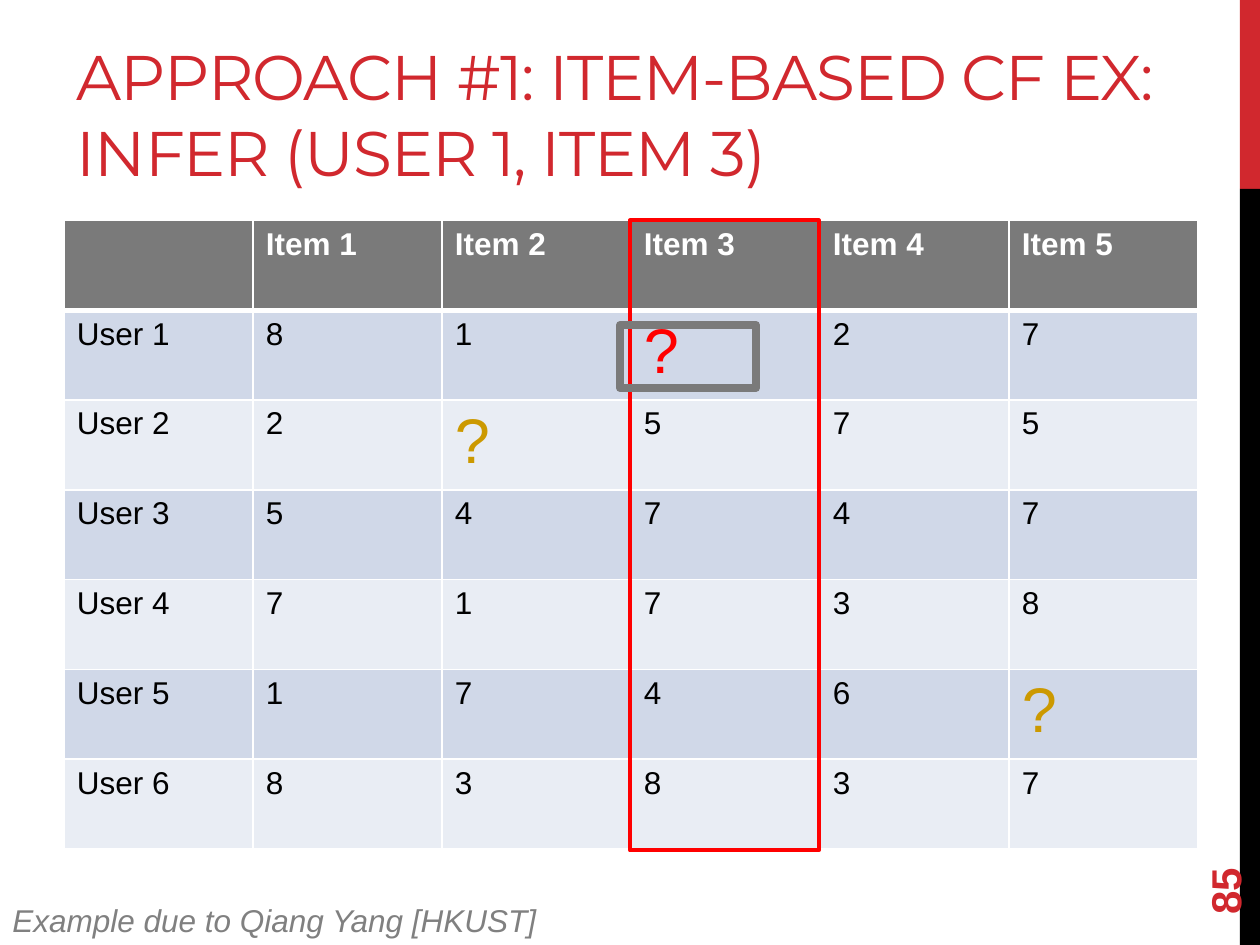
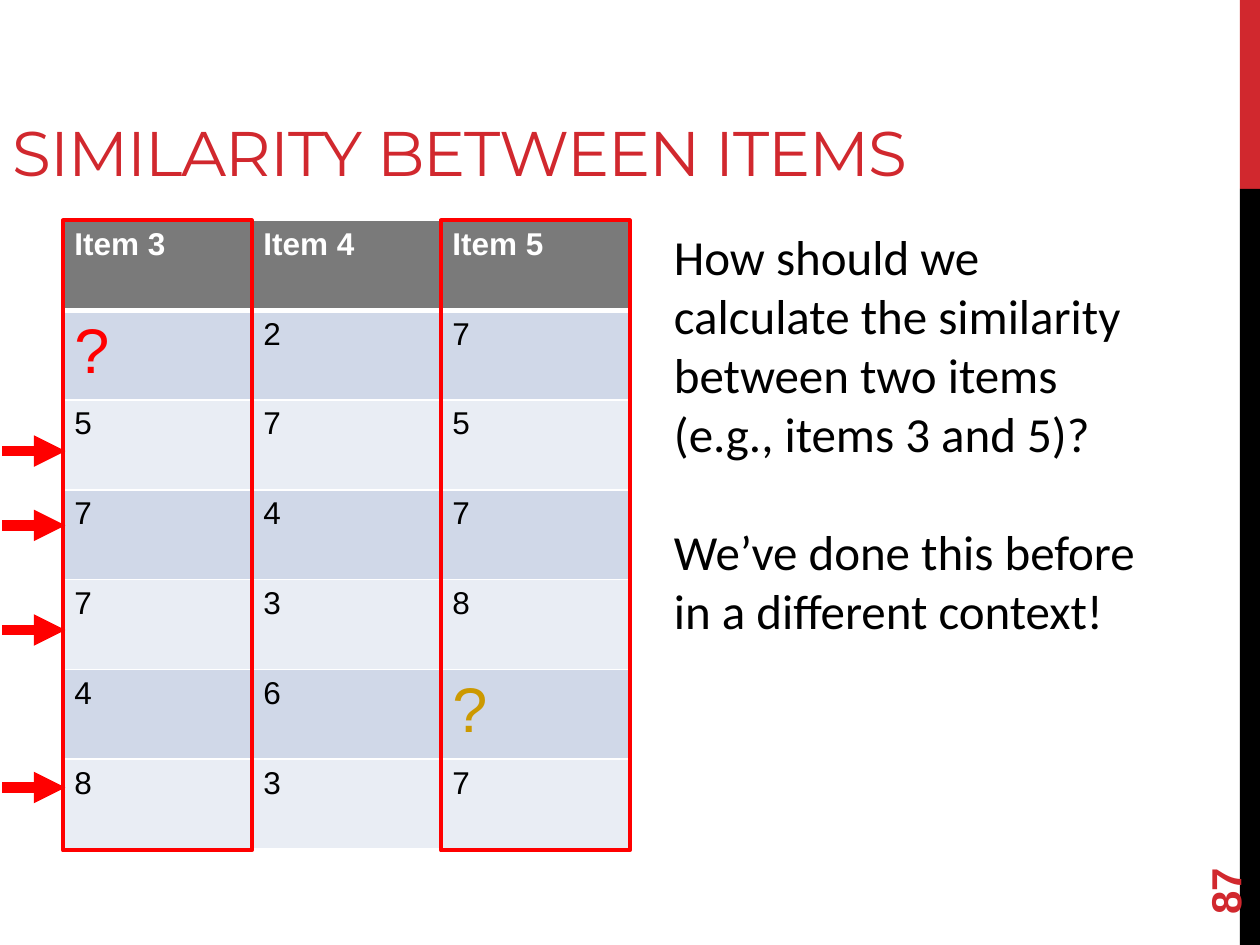
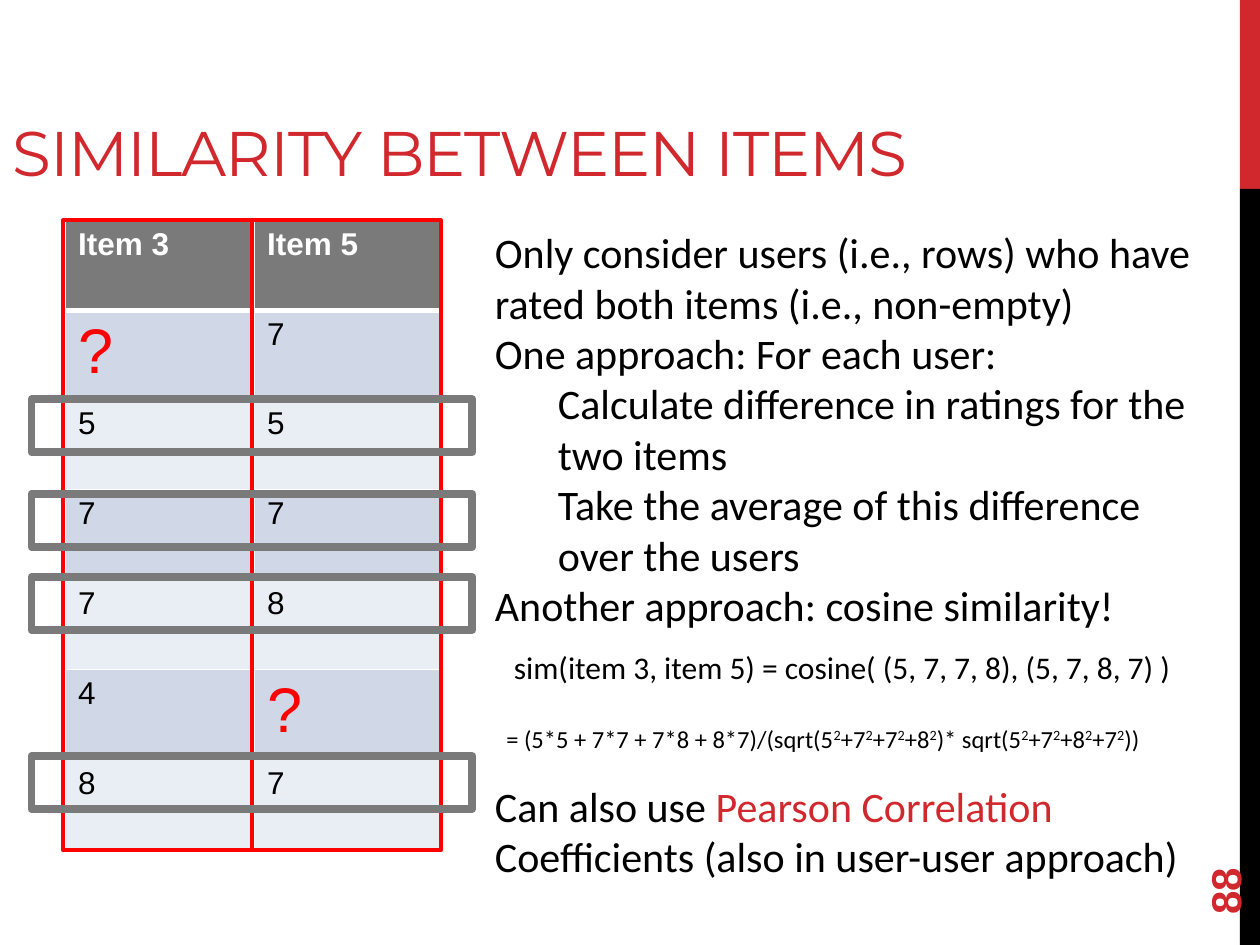
from lxml import etree
from pptx import Presentation
from pptx.dml.color import RGBColor
from pptx.enum.shapes import MSO_CONNECTOR, MSO_SHAPE
from pptx.enum.text import MSO_ANCHOR, MSO_AUTO_SIZE, PP_ALIGN
from pptx.oxml.ns import qn
from pptx.util import Inches, Pt

# Colours
CRIMSON = RGBColor(0xD1, 0x28, 0x2E)
RED = RGBColor(0xFF, 0x00, 0x00)
GOLD = RGBColor(0xCC, 0x99, 0x00)
GRAY = RGBColor(0x7A, 0x7A, 0x7A)
CREDIT_GRAY = RGBColor(0x80, 0x80, 0x80)
BLACK = RGBColor(0x00, 0x00, 0x00)
WHITE = RGBColor(0xFF, 0xFF, 0xFF)
ROW_FILLS = (RGBColor(0xE9, 0xED, 0xF4), RGBColor(0xD0, 0xD8, 0xE8))

# Ratings of users 1 to 6 for each item
RATINGS = {
    "Item 1": "825718",
    "Item 2": "1?4173",
    "Item 3": "?57748",
    "Item 4": "274363",
    "Item 5": "7578?7",
}
TABLE_TOP = 1.75
COLUMN_WIDTH = 1.5
COLUMN_HEIGHT = 5
TABLE_HEIGHT = 4.99


def write(p, text, font="Calibri", size=18, color=BLACK, bold=False,
          italic=False, baseline=None, spacing=None):
    """Add one formatted run to a paragraph."""
    r = p.add_run()
    r.text = text
    r.font.name = font
    r.font.size = Pt(size)
    r.font.color.rgb = color
    r.font.bold = bold
    r.font.italic = italic
    rPr = r.font._element
    if baseline:
        rPr.set("baseline", str(baseline * 1000))
    if spacing:
        rPr.set("spc", str(round(spacing * 100)))


def add_box(s, left, top, width, height, wrap=True):
    sp = s.shapes.add_textbox(Inches(left), Inches(top),
                              Inches(width), Inches(height))
    sp.text_frame.word_wrap = wrap
    return sp


def add_paragraph(tf, before=0, indent=0):
    """Return the empty first paragraph of a frame, or a new one."""
    first = tf.paragraphs[0]
    p = tf.add_paragraph() if first.runs else first
    if before:
        p.space_before = Pt(before)
    if indent:
        pPr = p._p.get_or_add_pPr()
        pPr.set("marL", str(Inches(indent)))
        pPr.set("indent", "0")
    return p


def add_rect(s, left, top, width, height, fill=None, line=None, weight=1):
    sp = s.shapes.add_shape(MSO_SHAPE.RECTANGLE, Inches(left), Inches(top),
                            Inches(width), Inches(height))
    sp.shadow.inherit = False
    if fill is None:
        sp.fill.background()
    else:
        sp.fill.solid()
        sp.fill.fore_color.rgb = fill
    if line is None:
        sp.line.fill.background()
    else:
        sp.line.color.rgb = line
        sp.line.width = Pt(weight)
    return sp


def add_column_frame(s, left):
    add_rect(s, left, TABLE_TOP, COLUMN_WIDTH, COLUMN_HEIGHT,
             line=RED, weight=2.25)


def add_arrow(s, y):
    """Point at a table row from the left edge of the slide."""
    c = s.shapes.add_connector(MSO_CONNECTOR.STRAIGHT, Inches(0.02), Inches(y),
                               Inches(0.52), Inches(y))
    c.line.color.rgb = RED
    c.line.width = Pt(6)
    etree.SubElement(c.line._get_or_add_ln(), qn("a:tailEnd"), type="triangle")
    etree.SubElement(c._element.spPr, qn("a:effectLst"))


def set_borders(cell, top, bottom):
    tcPr = cell._tc.get_or_add_tcPr()
    for tag, weight in (("lnL", 1), ("lnR", 1), ("lnT", top), ("lnB", bottom)):
        ln = etree.SubElement(tcPr, qn("a:" + tag), w=str(Pt(weight)))
        fill = etree.SubElement(ln, qn("a:solidFill"))
        etree.SubElement(fill, qn("a:srgbClr"), val=str(WHITE))


def add_ratings(s, left, items, red_cells, users=False):
    """Draw rating columns; unknown ratings are gold unless in red_cells."""
    columns = [[item, *RATINGS[item]] for item in items]
    if users:
        columns.insert(0, [""] + [f"User {n}" for n in range(1, 7)])
    rows = list(zip(*columns))
    table = s.shapes.add_table(
        len(rows), len(columns), Inches(left), Inches(TABLE_TOP),
        Inches(COLUMN_WIDTH * len(columns)), Inches(TABLE_HEIGHT)).table
    table.first_row = table.horz_banding = False
    for column in table.columns:
        column.width = Inches(COLUMN_WIDTH)
    for i, row in enumerate(rows):
        table.rows[i].height = Inches(TABLE_HEIGHT / len(rows))
        for j, value in enumerate(row):
            cell = table.cell(i, j)
            set_borders(cell, top=3 if i == 1 else 1, bottom=3 if i == 0 else 1)
            cell.fill.solid()
            cell.fill.fore_color.rgb = ROW_FILLS[i % 2] if i else GRAY
            p = cell.text_frame.paragraphs[0]
            if value == "?":
                color = RED if (i, j) in red_cells else GOLD
                write(p, value, font="Arial", size=36, color=color)
            elif value:
                write(p, value, font="Arial", color=BLACK if i else WHITE,
                      bold=i == 0)


def add_bands(s, layout):
    """Put the right-hand bands on the layout that all slides share."""
    bands = ((0, 1.5, CRIMSON), (1.5, 6, BLACK))
    for n, (top, height, color) in enumerate(bands):
        sp = add_rect(s, 9.84, top, 0.16, height, fill=color)
        sp._element.nvSpPr.cNvPr.set("id", str(20 + n))
        layout.shapes.element.append(sp._element)


def add_slide(prs, title, left, number):
    """Start a slide with its title and turned page number."""
    s = prs.slides.add_slide(prs.slide_layouts[5])
    sp = s.shapes.title
    sp.left, sp.top = Inches(left), Inches(0.3)
    sp.width, sp.height = Inches(9), Inches(1.25)
    tf = sp.text_frame
    tf.auto_size = MSO_AUTO_SIZE.NONE
    tf.vertical_anchor = MSO_ANCHOR.BOTTOM
    p = tf.paragraphs[0]
    p.alignment = PP_ALIGN.LEFT
    write(p, title, font="Montserrat", size=36, color=CRIMSON, spacing=-0.6)

    sp = add_box(s, 9, 6.44, 1.44, 0.4)
    sp.rotation = 270
    sp.text_frame.vertical_anchor = MSO_ANCHOR.MIDDLE
    write(sp.text_frame.paragraphs[0], str(number), font="Arial", size=24,
          color=CRIMSON, bold=True)
    return s


def build_inference(prs):
    s = add_slide(prs, "APPROACH #1: ITEM-BASED CF EX: INFER (USER 1, ITEM 3)",
                  0.51, 85)
    add_bands(s, prs.slide_layouts[5])
    add_ratings(s, 0.51, RATINGS, {(1, 3)}, users=True)
    add_column_frame(s, 5)
    add_rect(s, 4.92, 2.58, 1.08, 0.5, line=GRAY, weight=4.5)
    credit = add_box(s, 0, 7.1, 4.4, 0.4, wrap=False)
    write(credit.text_frame.paragraphs[0], "Example due to Qiang Yang [HKUST]",
          font="Arial", color=CREDIT_GRAY, italic=True)


def build_question(prs):
    s = add_slide(prs, "SIMILARITY BETWEEN ITEMS", 0, 87)
    add_ratings(s, 0.49, ("Item 3", "Item 4", "Item 5"), {(1, 0)})
    for left in (0.5, 3.5):
        add_column_frame(s, left)
    for y in (3.58, 4.17, 5, 6.25):
        add_arrow(s, y)
    tf = add_box(s, 5.25, TABLE_TOP, 3.92, 3.4).text_frame
    write(add_paragraph(tf), "How should we calculate the similarity between "
          "two items (e.g., items 3 and 5)?", size=28)
    write(add_paragraph(tf, before=34),
          "We’ve done this before in a different context!", size=28)


def build_approaches(prs):
    s = add_slide(prs, "SIMILARITY BETWEEN ITEMS", 0, 88)
    add_ratings(s, 0.52, ("Item 3", "Item 5"), {(1, 0), (5, 1)})
    for left in (0.5, 2):
        add_column_frame(s, left)
    for top in (3.17, 3.92, 4.58, 6):
        add_rect(s, 0.25, top, 3.5, 0.42, line=GRAY, weight=4.5)

    # Explanation, with room for the formula
    tf = add_box(s, 3.83, TABLE_TOP, 5.83, 5.35).text_frame
    for text, indent in (
        ("Only consider users (i.e., rows) who have rated both items "
         "(i.e., non-empty)", 0),
        ("One approach: For each user:", 0),
        ("Calculate difference in ratings for the two items", 0.5),
        ("Take the average of this difference over the users", 0.5),
        ("Another approach: cosine similarity!", 0),
    ):
        write(add_paragraph(tf, indent=indent), text, size=24)
    p = add_paragraph(tf, before=86)
    write(p, "Can also use ", size=24)
    write(p, "Pearson Correlation", size=24, color=CRIMSON)
    write(p, " Coefficients (also in user-user approach)", size=24)

    # Formula, with each ² set as a raised 2
    tf = add_box(s, 3.92, 5.09, 6, 0.94).text_frame
    write(add_paragraph(tf, indent=0.06),
          "sim(item 3, item 5) = cosine( (5, 7, 7, 8), (5, 7, 8, 7) )")
    p = add_paragraph(tf, before=22)
    formula = ("= (5*5 + 7*7 + 7*8 + 8*7)/(sqrt(5²+7²+7²+8²)"
               "* sqrt(5²+7²+8²+7²))")
    for n, part in enumerate(formula.split("²")):
        if n:
            write(p, "2", size=14, baseline=30)
        write(p, part, size=14)


def main():
    prs = Presentation()
    prs.slide_width, prs.slide_height = Inches(10), Inches(7.5)
    build_inference(prs)
    build_question(prs)
    build_approaches(prs)
    prs.save("out.pptx")


if __name__ == "__main__":
    main()
